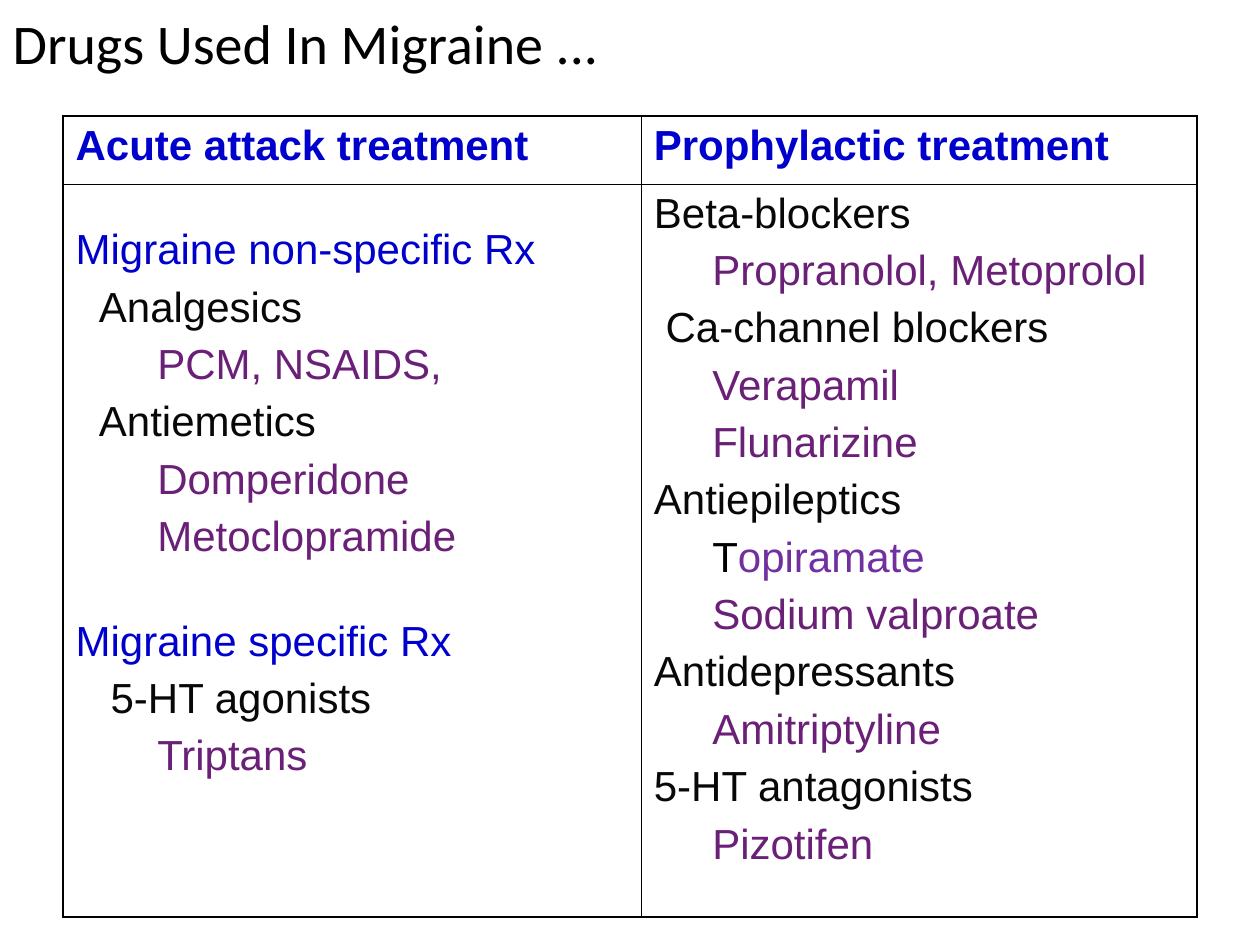
"""Build the slide comparing acute and prophylactic migraine drugs."""
from lxml import etree
from pptx import Presentation
from pptx.dml.color import RGBColor
from pptx.enum.text import MSO_ANCHOR, PP_ALIGN
from pptx.oxml.ns import qn
from pptx.util import Inches, Pt

LEFT, MIDDLE, TOP = PP_ALIGN.LEFT, MSO_ANCHOR.MIDDLE, MSO_ANCHOR.TOP
BLACK = RGBColor(0x00, 0x00, 0x00)
BLUE = RGBColor(0x00, 0x00, 0xCC)
INK = RGBColor(0x08, 0x08, 0x08)
PLUM = RGBColor(0x6B, 0x20, 0x78)
VIOLET = RGBColor(0x70, 0x30, 0xA0)

TITLE = "Drugs Used In Migraine ..."
HEADINGS = ["Acute attack treatment", "Prophylactic treatment"]
# Each line: indent steps, then (text, colour) runs
ACUTE = [
    (0, ("Migraine non-specific Rx", BLUE)),
    (2, ("Analgesics", INK)),
    (7, ("PCM, NSAIDS,", PLUM)),
    (2, ("Antiemetics", INK)),
    (7, ("Domperidone", PLUM)),
    (7, ("Metoclopramide", PLUM)),
    (0, ("Migraine specific Rx", BLUE)),
    (3, ("5-HT agonists", INK)),
    (7, ("Triptans", PLUM)),
]
PROPHYLACTIC = [
    (0, ("Beta-blockers", INK)),
    (5, ("Propranolol, Metoprolol", PLUM)),
    (1, ("Ca-channel blockers", INK)),
    (5, ("Verapamil", PLUM)),
    (5, ("Flunarizine", PLUM)),
    (0, ("Antiepileptics", INK)),
    (5, ("T", BLACK), ("opiramate", VIOLET)),
    (5, ("Sodium valproate", PLUM)),
    (0, ("Antidepressants", INK)),
    (5, ("Amitriptyline", PLUM)),
    (0, ("5-HT antagonists", INK)),
    (5, ("Pizotifen", PLUM)),
]
COLUMNS = [4.59, 4.41]
ROWS = [0.54, 5.82]
INDENT, GAP, SECTION_GAP = Pt(6.67), Pt(6), Pt(33)
OUTER, INNER = Pt(1.08), Pt(0.45)


def set_borders(cell, row, col):
    """Draw heavier lines on the outer edges of the table."""
    outer = {"L": col == 0, "R": col == len(COLUMNS) - 1,
             "T": row == 0, "B": row == len(ROWS) - 1}
    tcPr = cell._tc.get_or_add_tcPr()
    for side, is_outer in outer.items():
        ln = etree.SubElement(tcPr, qn(f"a:ln{side}"), w=str(OUTER if is_outer else INNER))
        fill = etree.SubElement(ln, qn("a:solidFill"))
        etree.SubElement(fill, qn("a:srgbClr"), val=str(BLACK))


def fill_cell(cell, lines, bold):
    """Write indented, coloured lines into a cell."""
    tf = cell.text_frame
    for i, (steps, *runs) in enumerate(lines):
        p = tf.add_paragraph() if i else tf.paragraphs[0]
        p._p.get_or_add_pPr().set("marL", str(steps * INDENT))
        p.alignment = LEFT
        if i:
            p.space_before = SECTION_GAP if runs[0][1] == BLUE else GAP
        p.font.name, p.font.size, p.font.bold = "Arial", Pt(24), bold
        for text, color in runs:
            r = p.add_run()
            r.text = text
            r.font.color.rgb = color


def main():
    """Assemble and save the slide."""
    prs = Presentation()
    prs.slide_width, prs.slide_height = Inches(10), Inches(7.5)
    s = prs.slides.add_slide(prs.slide_layouts[5])

    title = s.shapes.title
    title.left, title.top, title.width, title.height = 0, 0, Inches(9), Inches(0.67)
    tf = title.text_frame
    tf.text = TITLE
    tf.vertical_anchor = MIDDLE
    p = tf.paragraphs[0]
    p.alignment = LEFT
    p.font.name, p.font.size, p.font.color.rgb = "Calibri", Pt(32), BLACK

    table = s.shapes.add_table(len(ROWS), len(COLUMNS), Inches(0.5), Inches(0.92),
                               Inches(sum(COLUMNS)), Inches(sum(ROWS))).table
    table.first_row = table.horz_banding = False
    for column, width in zip(table.columns, COLUMNS):
        column.width = Inches(width)
    for row, height in zip(table.rows, ROWS):
        row.height = Inches(height)

    headings = [[(0, (text, BLUE))] for text in HEADINGS]
    for row, contents in enumerate([headings, [ACUTE, PROPHYLACTIC]]):
        for col, lines in enumerate(contents):
            cell = table.cell(row, col)
            cell.vertical_anchor = TOP
            cell.margin_top = Inches(0.34 if lines is ACUTE else 0.05)
            fill_cell(cell, lines, bold=row == 0)
            set_borders(cell, row, col)
            cell.fill.background()

    prs.save("out.pptx")


if __name__ == "__main__":
    main()
